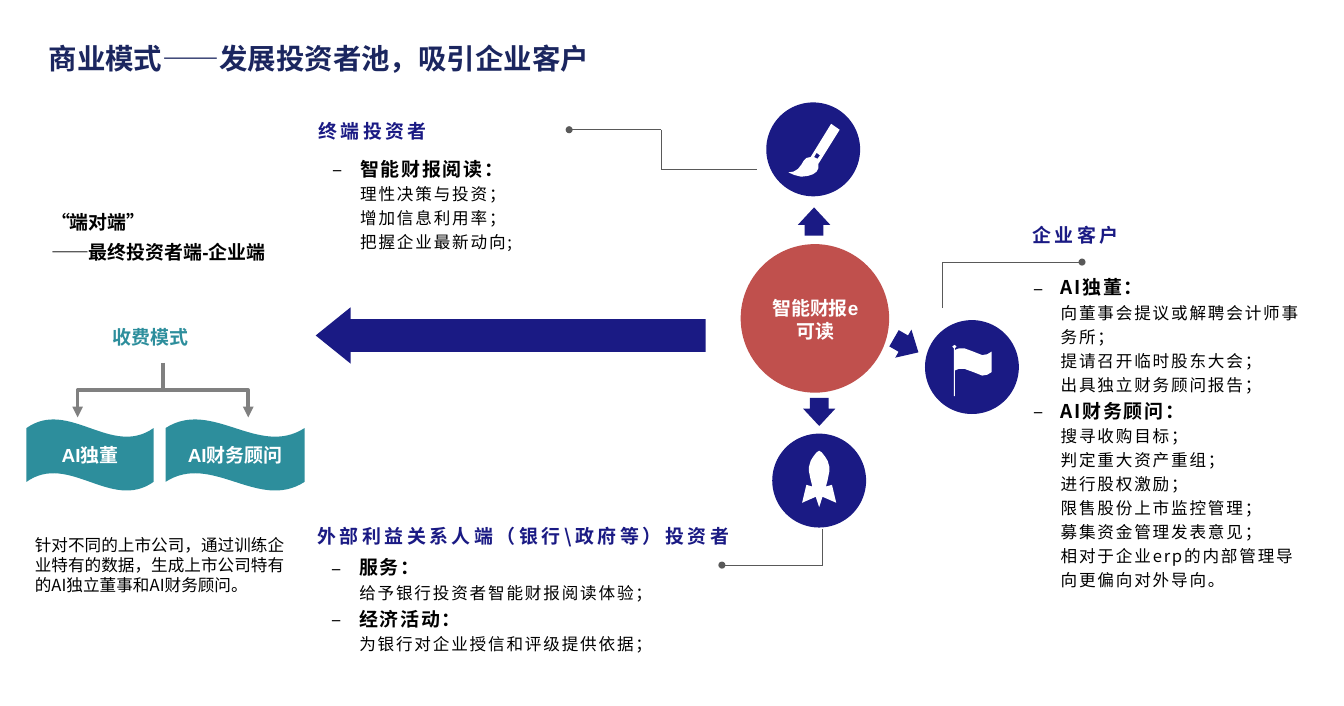
from lxml.etree import SubElement
from pptx import Presentation
from pptx.dml.color import RGBColor
from pptx.enum.shapes import MSO_CONNECTOR as CONN, MSO_SHAPE as SHAPE
from pptx.enum.text import MSO_ANCHOR as ANCHOR, MSO_AUTO_SIZE as AUTO, PP_ALIGN as ALIGN
from pptx.oxml.ns import qn
from pptx.util import Inches, Pt

NAVY, TEAL, RED, WHITE, BLACK = "1A1A84", "2D8E9C", "C0504D", "FFFFFF", "000000"
TITLE, GREY, DARK_GREY = "1B265F", "808080", "595959"
NOTO, ARIAL = "Noto Sans CJK SC", "Arial"
INDENT = 0.32

INVESTORS = [("智能财报阅读：", ["理性决策与投资；", "增加信息利用率；", "把握企业最新动向;"])]
STAKEHOLDERS = [
    ("服务：", ["给予银行投资者智能财报阅读体验；"]),
    ("经济活动：", ["为银行对企业授信和评级提供依据；"]),
]
COMPANIES = [
    ("AI独董：", ["向董事会提议或解聘会计师事务所；", "提请召开临时股东大会；", "出具独立财务顾问报告；"]),
    ("AI财务顾问：", ["搜寻收购目标；", "判定重大资产重组；", "进行股权激励；", "限售股份上市监控管理；",
                 "募集资金管理发表意见；", "相对于企业erp的内部管理导向更偏向对外导向。"]),
]
BRUSH = [(984, 152), (974, 145), (950, 184), (945, 185), (942, 188), (939, 193), (935, 198),
         (930, 201), (924, 202), (931, 205), (939, 207), (947, 206), (953, 204), (957, 201),
         (959, 197), (959, 192)]
FERRULE = [(954, 184), (957, 179), (961, 182), (958, 186)]
FLAG_TOP = [(1119, 410), (1124, 408), (1130, 408), (1141, 412), (1151, 416), (1157, 415), (1162, 412)]
FLAG = ([(1118, 408), (1116, 406), (1117, 405), (1119, 404), (1121, 406), (1119, 408)] + FLAG_TOP
        + [(x, y + 24) for x, y in reversed(FLAG_TOP)] + [(1119, 464), (1118, 464)])
ROCKET_HALF = [(0, 528), (3, 530), (7, 535), (10, 540), (12, 547), (12, 552), (10, 562), (8, 570),
               (15, 568), (20, 589), (4, 582), (0, 594)]
ROCKET = [(960 + x, y) for x, y in ROCKET_HALF] + [(960 - x, y) for x, y in ROCKET_HALF[-2:0:-1]]


def rgb(color):
    """Turn a hex string into a colour."""
    return RGBColor.from_string(color)


def format_paragraph(p, size, color, bold=True, font=NOTO, align=ALIGN.LEFT, leading=1.2, spacing=0):
    """Format a paragraph and its runs."""
    p.alignment = align
    p.line_spacing = Pt(round(size * leading, 1))
    p.space_before = p.space_after = Pt(0)
    for r in p.runs:
        f = r.font
        f.size, f.bold, f.name = Pt(size), bold, font
        f.color.rgb = rgb(color)
        rPr = r._r.get_or_add_rPr()
        rPr.set("spc", str(int(spacing * 100)))
        SubElement(rPr, qn("a:ea")).set("typeface", NOTO)


def set_text(sp, text, size, color, anchor=ANCHOR.TOP, margins=(0.1, 0.05, 0.1, 0.05), **style):
    """Put formatted text into a shape."""
    tf = sp.text_frame
    tf.word_wrap, tf.auto_size, tf.vertical_anchor = True, AUTO.NONE, anchor
    tf.margin_left, tf.margin_top, tf.margin_right, tf.margin_bottom = map(Inches, margins)
    tf.text = text
    for p in tf.paragraphs:
        format_paragraph(p, size, color, **style)


def place(sp, *box):
    """Move and size a shape."""
    sp.left, sp.top, sp.width, sp.height = map(Inches, box)


def add_text(s, box, text, size, color, **style):
    """Add a text box."""
    set_text(s.shapes.add_textbox(*map(Inches, box)), text, size, color, **style)


def add_heading(s, box, text):
    """Add the heading of a customer group."""
    add_text(s, box, text, 16, NAVY, anchor=ANCHOR.BOTTOM, margins=(0.1, 0.05, 0.1, 0),
             leading=1.44, spacing=3)


def fill_list(sp, box, groups):
    """Fill a body placeholder with dashed subheads and their items."""
    place(sp, *box)
    rows = [row for head, items in groups for row in [(head, True)] + [(i, False) for i in items]]
    set_text(sp, "\n".join(text for text, _ in rows), 14, BLACK, margins=(0.1, 0, 0.1, 0.05))
    for p, (text, is_head) in zip(sp.text_frame.paragraphs, rows):
        p.text = text
        format_paragraph(p, 16 if is_head else 14, BLACK, bold=is_head, leading=1.44, spacing=1.5)
        pPr = p._p.get_or_add_pPr()
        pPr.set("marL", str(Inches(INDENT)))
        pPr.set("indent", str(-Inches(INDENT) if is_head else 0))
        if is_head:
            SubElement(pPr, qn("a:buFont")).set("typeface", NOTO)
            SubElement(pPr, qn("a:buChar")).set("char", "–")
        else:
            SubElement(pPr, qn("a:buNone"))


def paint(sp, color):
    """Give a shape a plain fill without line or shadow."""
    sp.shadow.inherit = False
    sp.fill.solid()
    sp.fill.fore_color.rgb = rgb(color)
    sp.line.fill.background()


def add_shape(s, kind, box, color, rotation=0):
    """Add a filled preset shape."""
    sp = s.shapes.add_shape(kind, *map(Inches, box))
    paint(sp, color)
    sp.rotation = rotation
    return sp


def add_arrow(s, kind, box, rotation=0):
    """Add a navy block arrow."""
    sp = add_shape(s, kind, box, NAVY, rotation)
    sp.adjustments[0], sp.adjustments[1] = 0.58, 0.62


def add_icon(s, outline, hole=()):
    """Draw a white icon from points in hundredths of an inch."""
    fb = s.shapes.build_freeform(*outline[0], scale=Inches(0.01))
    fb.add_line_segments(outline[1:], close=True)
    if hole:
        fb.move_to(*hole[0])
        fb.add_line_segments(hole[1:], close=True)
    paint(fb.convert_to_shape(), WHITE)


def add_line(s, kind, start, end, color, width, tail=None):
    """Add a connector with an optional end mark."""
    c = s.shapes.add_connector(kind, *map(Inches, start + end))
    c.line.color.rgb, c.line.width = rgb(color), Pt(width)
    spPr = c._element.spPr
    if tail:
        SubElement(spPr.find(qn("a:ln")), qn("a:tailEnd")).set("type", tail)
    SubElement(spPr, qn("a:effectLst"))
    return c


def add_leader(s, *points):
    """Add a thin angled leader that ends in a dot."""
    for i, (start, end) in enumerate(zip(points, points[1:]), 2):
        add_line(s, CONN.STRAIGHT, start, end, DARK_GREY, 0.75, "oval" if i == len(points) else None)


def add_branch(s, start, end):
    """Add an elbow arrow that leaves downwards."""
    (x1, y1), (x2, y2) = start, end
    cx, cy, half_w, half_h = (x1 + x2) / 2, (y1 + y2) / 2, (x2 - x1) / 2, (y2 - y1) / 2
    c = add_line(s, CONN.ELBOW, (cx - half_h, cy + half_w), (cx + half_h, cy - half_w),
                 GREY, 3, "triangle")
    c._element.spPr.find(qn("a:xfrm")).set("rot", str(90 * 60000))


def add_fee_model(s):
    """Draw the fee model on the left."""
    add_text(s, (0.5, 2.32, 3.15, 0.83), "“端对端”\n——最终投资者端-企业端", 16, BLACK,
             anchor=ANCHOR.MIDDLE, font=ARIAL, leading=1.56)
    add_text(s, (1.22, 3.63, 1.42, 0.63), "收费模式", 16, TEAL, anchor=ANCHOR.MIDDLE)
    for left, width, label, x in [(0.31, 1.49, "AI独董", 0.91), (1.94, 1.63, "AI财务顾问", 2.91)]:
        sp = add_shape(s, SHAPE.WAVE, (left, 4.91, width, 0.84), TEAL)
        set_text(sp, label, 16, WHITE, anchor=ANCHOR.MIDDLE, font=ARIAL, align=ALIGN.CENTER)
        add_branch(s, (1.91, 4.25), (x, 4.89))
    add_text(s, (0.31, 6.22, 3.15, 0.81),
             "针对不同的上市公司，通过训练企业特有的数据，生成上市公司特有的AI独立董事和AI财务顾问。",
             14, BLACK, bold=False)


def add_hub(s):
    """Draw the product hub with its arrows and icons."""
    for left, top in [(8.98, 1.2), (10.84, 3.75), (9.05, 5.08)]:
        add_shape(s, SHAPE.OVAL, (left, top, 1.1, 1.1), NAVY)
    add_icon(s, BRUSH, FERRULE)
    add_icon(s, FLAG)
    add_icon(s, ROCKET)
    add_shape(s, SHAPE.OVAL, (8.68, 2.86, 1.74, 1.74), RED)
    add_text(s, (8.92, 3.43, 1.27, 0.64), "智能财报e可读", 16, WHITE, font=ARIAL, align=ALIGN.CENTER)
    add_arrow(s, SHAPE.LEFT_ARROW, (3.7, 3.6, 4.57, 0.66))
    for left, top, rotation in [(9.35, 2.43, 0), (10.43, 3.88, 120), (9.41, 4.66, 180)]:
        add_arrow(s, SHAPE.UP_ARROW, (left, top, 0.38, 0.33), rotation)
    add_leader(s, (8.87, 1.99), (7.75, 1.99), (7.75, 1.52), (6.67, 1.52))
    add_leader(s, (11.04, 3.61), (11.04, 3.07), (12.68, 3.07))
    add_leader(s, (9.64, 6.2), (9.64, 6.62), (8.46, 6.62))


def main():
    """Build the slide and save it."""
    prs = Presentation()
    prs.slide_width, prs.slide_height = Inches(15.75), Inches(8.27)
    s = prs.slides.add_slide(prs.slide_layouts.get_by_name("Comparison"))
    title, first, second, spare, third = s.placeholders
    spare._element.getparent().remove(spare._element)
    place(title, 0.47, 0.43, 9.05, 0.51)
    set_text(title, "商业模式——发展投资者池，吸引企业客户", 24, TITLE, anchor=ANCHOR.MIDDLE)
    add_hub(s)
    add_fee_model(s)
    add_heading(s, (3.63, 1.27, 1.85, 0.4), "终端投资者")
    add_heading(s, (12, 2.49, 1.85, 0.4), "企业客户")
    add_heading(s, (3.62, 5.75, 6.41, 0.66), "外部利益关系人端（银行\\政府等）投资者")
    fill_list(first, (3.8, 1.79, 3.35, 1.74), INVESTORS)
    fill_list(second, (3.79, 6.46, 4.47, 1.36), STAKEHOLDERS)
    fill_list(third, (12.01, 3.18, 3.34, 3.94), COMPANIES)
    prs.save("out.pptx")


if __name__ == "__main__":
    main()
